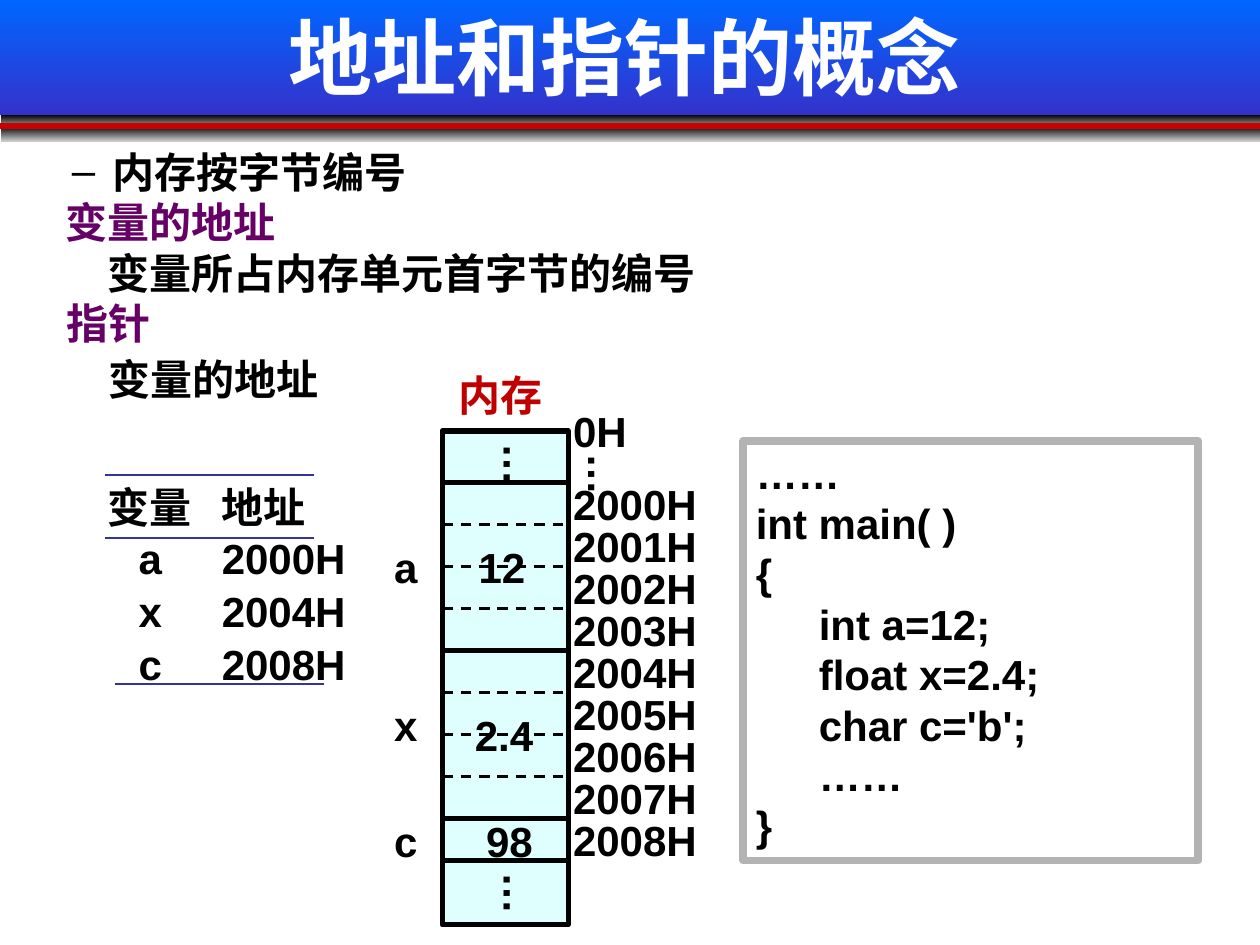
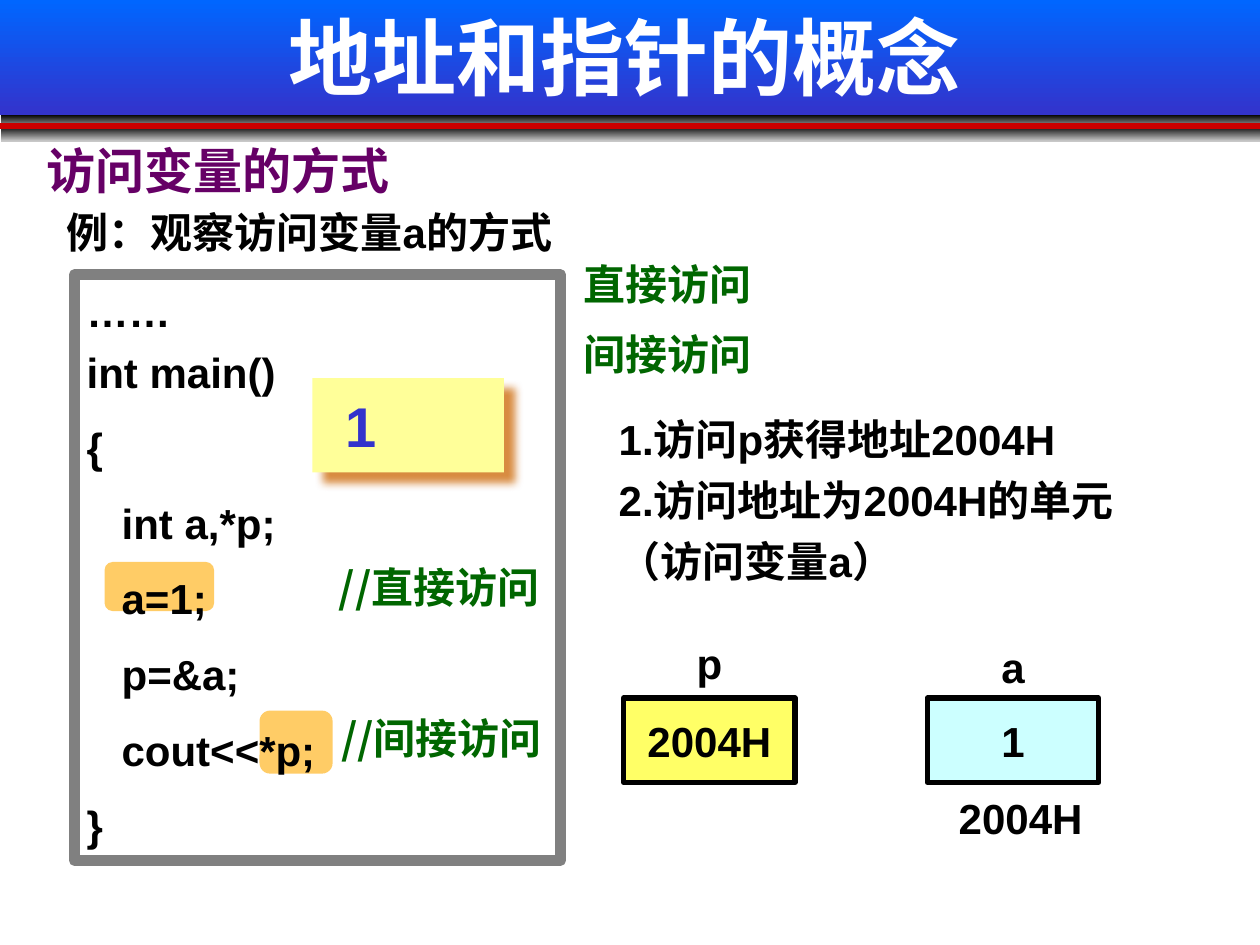
from lxml import etree
from pptx import Presentation
from pptx.dml.color import RGBColor
from pptx.enum.dml import MSO_LINE
from pptx.enum.shapes import MSO_CONNECTOR, MSO_SHAPE
from pptx.enum.text import MSO_ANCHOR, MSO_AUTO_SIZE, PP_ALIGN
from pptx.oxml.ns import qn
from pptx.util import Inches, Pt

# Shared look
BLACK = RGBColor(0x00, 0x00, 0x00)
WHITE = RGBColor(0xFF, 0xFF, 0xFF)
PURPLE = RGBColor(0x66, 0x00, 0x66)
GREEN = RGBColor(0x00, 0x66, 0x00)
RED = RGBColor(0xCC, 0x00, 0x00)
DARK_RED = RGBColor(0xC0, 0x00, 0x00)
BRIGHT_BLUE = RGBColor(0x00, 0x66, 0xFF)
BLUE = RGBColor(0x33, 0x33, 0xCC)
TABLE_BLUE = RGBColor(0x33, 0x33, 0x99)
SILVER = RGBColor(0xC8, 0xC8, 0xC8)
LIGHT_GRAY = RGBColor(0xB3, 0xB3, 0xB3)
GRAY = RGBColor(0x80, 0x80, 0x80)
MEMORY_CYAN = RGBColor(0xDF, 0xFF, 0xFF)
CELL_CYAN = RGBColor(0xCC, 0xFF, 0xFF)
CELL_YELLOW = RGBColor(0xFF, 0xFF, 0x66)
NOTE_YELLOW = RGBColor(0xFF, 0xFF, 0x99)
NOTE_SHADOW = RGBColor(0xCC, 0x66, 0x00)
HIGHLIGHT = RGBColor(0xFF, 0xCC, 0x66)

LATIN = "Arial"
CHINESE = "Noto Sans CJK SC"
ROOMY = (0.1, 0.05)
TIGHT = (0.02, 0.01)
STEP_INSETS = (0.02, 0.05)
TITLE = "地址和指针的概念"


# Text
def set_font(font, name, size, color):
    font.name, font.size, font.bold = name, Pt(size), True
    font.color.rgb = color
    east_asian = etree.SubElement(font._element, qn("a:ea"))
    east_asian.set("typeface", name)


def set_bullet(paragraph, bullet, indent):
    properties = paragraph._p.get_or_add_pPr()
    properties.set("marL", str(Inches(indent)))
    properties.set("indent", str(-Inches(indent)))
    if bullet:
        etree.SubElement(properties, qn("a:buFont")).set("typeface", LATIN)
        etree.SubElement(properties, qn("a:buChar")).set("char", bullet)
    else:
        etree.SubElement(properties, qn("a:buNone"))


def write(shape, lines, size=24, color=BLACK, font=LATIN, align=PP_ALIGN.LEFT,
          anchor=MSO_ANCHOR.TOP, insets=ROOMY, space=0, spacing=None,
          bullet=None, indent=0, vertical=False):
    """Fill a shape with one paragraph for each line."""
    frame = shape.text_frame
    frame.word_wrap = True
    frame.auto_size = MSO_AUTO_SIZE.NONE
    frame.vertical_anchor = anchor
    frame.margin_left = frame.margin_right = Inches(insets[0])
    frame.margin_top = frame.margin_bottom = Inches(insets[1])
    if vertical:
        frame._txBody.bodyPr.set("vert", "eaVert")
    for number, line in enumerate(lines.split("\n")):
        paragraph = frame.add_paragraph() if number else frame.paragraphs[0]
        paragraph.alignment = align
        paragraph.space_before = Pt(space if number else 0)
        if spacing and number > 1:
            paragraph.line_spacing = spacing
            paragraph.space_before = Pt(0)
        set_bullet(paragraph, bullet, indent)
        run = paragraph.add_run()
        run.text = line
        set_font(run.font, font, size, color)


def add_text(slide, lines, left, top, width, height=0.5, **text_format):
    box = slide.shapes.add_textbox(*map(Inches, (left, top, width, height)))
    write(box, lines, **text_format)


def add_label(slide, lines, left, top, width, height=0.5, **text_format):
    """Vertically centred text with almost no insets."""
    text_format = {"anchor": MSO_ANCHOR.MIDDLE, "insets": TIGHT} | text_format
    add_text(slide, lines, left, top, width, height, **text_format)


def fill_placeholder(shape, lines, left, top, width, height, **text_format):
    shape.left, shape.top = Inches(left), Inches(top)
    shape.width, shape.height = Inches(width), Inches(height)
    write(shape, lines, anchor=MSO_ANCHOR.MIDDLE, **text_format)


# Shapes and lines
def add_shadow(shape, color, blur, distance):
    effects = shape._element.spPr.find(qn("a:effectLst"))
    shadow = etree.SubElement(
        effects, qn("a:outerShdw"), blurRad=str(Pt(blur)), dist=str(Pt(distance)),
        dir="2700000", algn="tl", rotWithShape="0")
    tint = etree.SubElement(shadow, qn("a:srgbClr"), val=str(color))
    etree.SubElement(tint, qn("a:alpha"), val="75000")


def add_box(slide, left, top, width, height, fill=None, gradient=None,
            line=None, weight=3, kind=MSO_SHAPE.RECTANGLE):
    box = slide.shapes.add_shape(kind, *map(Inches, (left, top, width, height)))
    box.shadow.inherit = False
    if gradient:
        box.fill.gradient()
        box.fill.gradient_angle = 270
        for stop, position, color in zip(box.fill.gradient_stops, (0, 1), gradient):
            stop.position = position
            stop.color.rgb = color
    elif fill is not None:
        box.fill.solid()
        box.fill.fore_color.rgb = fill
    else:
        box.fill.background()
    if line is not None:
        box.line.color.rgb = line
        box.line.width = Pt(weight)
    else:
        box.line.fill.background()
    return box


def add_rule(slide, left, right, y, color=BLACK, weight=3.0, dashed=False):
    """Draw a horizontal line."""
    rule = slide.shapes.add_connector(
        MSO_CONNECTOR.STRAIGHT, *map(Inches, (left, y, right, y)))
    rule.line.color.rgb = color
    rule.line.width = Pt(weight)
    if dashed:
        rule.line.dash_style = MSO_LINE.DASH
    etree.SubElement(rule._element.spPr, qn("a:effectLst"))


def add_titled_slide(presentation):
    slide = presentation.slides.add_slide(presentation.slide_layouts[1])
    band = add_box(slide, 0, 0, 10, 0.91, gradient=(BRIGHT_BLUE, BLUE))
    add_shadow(band, GRAY, 5, 3)
    for top in (0.91, 1):
        add_box(slide, 0.01, top, 9.99, 0.12, gradient=(BLACK, SILVER))
    add_rule(slide, 0, 10, 1, RED)
    title = slide.shapes.title
    fill_placeholder(title, TITLE, 0.08, -0.03, 9.75, 0.95,
                     size=48, color=WHITE, align=PP_ALIGN.CENTER)
    slide.shapes._spTree.append(title._element)  # in front of the band
    return slide


# Slide 1
def add_definitions(slide):
    fill_placeholder(slide.placeholders[1], "内存按字节编号", 0.55, 1.07, 4.25, 0.58,
                     insets=TIGHT, bullet="–", indent=0.32)
    add_text(slide, "变量的地址", 0.42, 1.51, 3.17, color=PURPLE, font=CHINESE)
    add_label(slide, "变量所占内存单元首字节的编号", 0.83, 1.71, 6.96, 0.91)
    add_text(slide, "指针", 0.43, 2.31, 1.27, color=PURPLE, font=CHINESE)
    add_label(slide, "变量的地址", 0.84, 2.69, 3.55, 0.63)


def add_variable_list(slide):
    for left, y in ((0.83, 3.77), (0.83, 4.27), (0.91, 5.43)):
        add_rule(slide, left, left + 1.66, y, TABLE_BLUE, 1.5)
    for left, heading in ((0.83, "变量"), (1.74, "地址")):
        add_label(slide, heading, left, 3.77, 0.83, font=CHINESE)
    variables = (("a", "2000H"), ("x", "2004H"), ("c", "2008H"))
    for row, (name, address) in enumerate(variables):
        top = 4.18 + 0.42 * row
        add_label(slide, name, 1.08, top, 0.42)
        add_label(slide, address, 1.74, top, 1.19)


def add_memory(slide):
    left, right, first_byte, byte_height = 3.51, 4.51, 3.83, 1 / 3
    add_label(slide, "内存", 3.62, 2.92, 0.9, 0.42, color=DARK_RED, font=CHINESE)
    add_box(slide, left, 3.42, right - left, 3.92, MEMORY_CYAN, line=BLACK)
    for byte in range(10):
        y = first_byte + byte * byte_height
        if byte in (0, 4, 8, 9):
            add_rule(slide, left, right, y)
        else:
            add_rule(slide, left, right, y, weight=1.5, dashed=True)
        if byte < 9:
            add_text(slide, f"200{byte}H", 4.45, y - 0.08, 1.33)
    add_text(slide, "0H", 4.45, 3.17, 0.74)
    for dots_left, top in ((3.78, 3.42), (3.78, 6.83), (4.45, 3.5)):
        add_text(slide, "…", dots_left, top, 0.6, 0.58, vertical=True)
    for name, top in (("a", 4.25), ("x", 5.5), ("c", 6.42)):
        add_text(slide, name, 3.03, top, 0.42)
    for value, value_left, top in (("12", 3.7, 4.25), ("2.4", 3.67, 5.58),
                                   ("98", 3.76, 6.42)):
        add_text(slide, value, value_left, top, 0.92)


def build_address_slide(presentation):
    slide = add_titled_slide(presentation)
    add_definitions(slide)
    add_variable_list(slide)
    add_memory(slide)
    code = add_box(slide, 5.9, 3.5, 3.61, 3.33, line=LIGHT_GRAY, weight=4.5)
    write(code, "……\nint main( )\n{\n\tint a=12;\n\tfloat x=2.4;\n"
                "\tchar c='b';\n\t……\n}")


# Slide 2
def add_access_code(slide):
    for area in ((2.06, 5.64, 0.58, 0.5), (0.83, 4.46, 0.87, 0.39)):
        add_box(slide, *area, HIGHLIGHT, kind=MSO_SHAPE.ROUNDED_RECTANGLE)
    code = add_box(slide, 0.59, 2.18, 3.86, 4.65, line=GRAY, weight=6)
    write(code, "……\nint main()\n{\n   int a,*p;\n   a=1;\n   p=&a;\n"
                "   cout<<*p;\n}",
          anchor=MSO_ANCHOR.MIDDLE, space=6, spacing=1.5)
    for comment, left, top in (("//直接访问", 2.67, 4.34), ("//间接访问", 2.69, 5.54)):
        add_label(slide, comment, left, top, 2.28, 0.63, insets=STEP_INSETS,
                  color=GREEN, font=CHINESE)
    note = add_box(slide, 2.48, 3, 1.52, 0.75, NOTE_YELLOW)
    add_shadow(note, NOTE_SHADOW, 5, 8.5)
    write(note, "1", size=32, color=BLUE, anchor=MSO_ANCHOR.MIDDLE, insets=(0.26, 0))


def add_variable_cells(slide):
    cells = (("p", "2004H", 4.95, 5.01, CELL_YELLOW), ("a", "1", 7.36, 5.04, CELL_CYAN))
    for name, value, left, name_top, fill in cells:
        cell = add_box(slide, left, 5.54, 1.36, 0.67, fill, line=BLACK)
        write(cell, value, align=PP_ALIGN.CENTER, anchor=MSO_ANCHOR.MIDDLE)
        add_label(slide, name, left, name_top, 1.36, align=PP_ALIGN.CENTER)
    add_label(slide, "2004H", 7.34, 6.24, 1.52, align=PP_ALIGN.CENTER)


def build_access_slide(presentation):
    slide = add_titled_slide(presentation)
    add_text(slide, "访问变量的方式", 0.27, 1.07, 5.09, 0.57, size=28, color=PURPLE)
    add_label(slide, "例：观察访问变量a的方式", 0.51, 1.55, 4.67, 0.58)
    add_access_code(slide)
    for method, top in (("直接访问", 1.94), ("间接访问", 2.49)):
        add_label(slide, method, 4.61, top, 2.67, 0.63, color=GREEN)
    fill_placeholder(slide.placeholders[1],
                     "1.访问p获得地址2004H\n2.访问地址为2004H的单元\n（访问变量a）",
                     4.89, 3.65, 4.7, 0.63, insets=STEP_INSETS, space=6)
    add_variable_cells(slide)


def main():
    presentation = Presentation()
    presentation.slide_width, presentation.slide_height = Inches(10), Inches(7.5)
    build_address_slide(presentation)
    build_access_slide(presentation)
    presentation.save("out.pptx")


if __name__ == "__main__":
    main()
